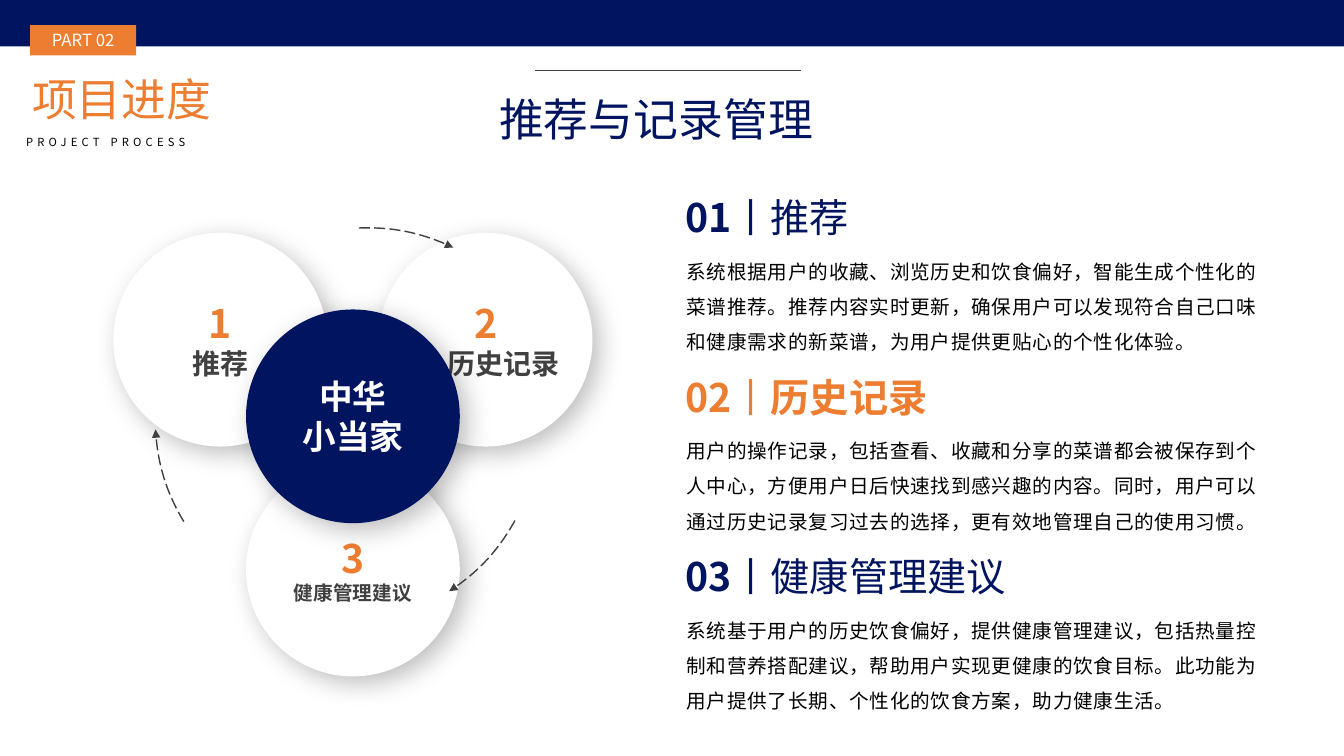
from math import cos, radians, sin

from lxml.etree import SubElement
from pptx import Presentation
from pptx.dml.color import RGBColor
from pptx.enum.dml import MSO_LINE_DASH_STYLE as Dash
from pptx.enum.shapes import MSO_CONNECTOR, MSO_SHAPE as Shape
from pptx.enum.text import MSO_ANCHOR as Anchor, MSO_AUTO_SIZE as AutoSize, PP_ALIGN as Align
from pptx.oxml.ns import qn
from pptx.util import Inches, Pt

NAVY = RGBColor(0x00, 0x14, 0x5F)
ORANGE = RGBColor(0xED, 0x7D, 0x31)
GRAY = RGBColor(0x40, 0x40, 0x40)
WHITE = RGBColor(0xFF, 0xFF, 0xFF)
BLACK = RGBColor(0x00, 0x00, 0x00)
FONT = "Noto Sans CJK SC"

TITLE = "推荐与记录管理"
PART = "PART 02"
CHAPTER = "项目进度"
CHAPTER_EN = "PROJECT PROCESS"
HUB = ("中华", "小当家")
# number, label, label size, label indent, angle around the hub
PETALS = [
    ("1", "推荐", 20, 0, 210),
    ("2", "历史记录", 20, 0.35, 330),
    ("3", "健康管理建议", 14, 0, 90),
]
# centre x, centre y, rotation
ARROWS = [(3.5, 4.16, 0), (3.64, 4.22, 118.8), (3.39, 4.22, 240)]
# number, heading, heading is bold, colour, heading width, body
SECTIONS = [
    ("01", "推荐", False, NAVY, 2.87,
     "系统根据用户的收藏、浏览历史和饮食偏好，智能生成个性化的菜谱推荐。推荐内容实时更新，"
     "确保用户可以发现符合自己口味和健康需求的新菜谱，为用户提供更贴心的个性化体验。"),
    ("02", "历史记录", True, ORANGE, 2.87,
     "用户的操作记录，包括查看、收藏和分享的菜谱都会被保存到个人中心，方便用户日后快速找到感兴趣的内容。"
     "同时，用户可以通过历史记录复习过去的选择，更有效地管理自己的使用习惯。"),
    ("03", "健康管理建议", False, NAVY, 3.53,
     "系统基于用户的历史饮食偏好，提供健康管理建议，包括热量控制和营养搭配建议，"
     "帮助用户实现更健康的饮食目标。此功能为用户提供了长期、个性化的饮食方案，助力健康生活。"),
]

WIDTH, HEIGHT = 13.33, 7.5
HUB_X, HUB_Y, ORBIT, CIRCLE = 3.5, 4.13, 1.52, 2.12
ARC, ARC_START, ARC_END = 3.92, 148.81, 177.07
SECTION_X, SECTION_Y, SECTION_PITCH, BODY_DROP = 6.7, 1.87, 1.78, 0.54

prs = Presentation()
prs.slide_width, prs.slide_height = Inches(WIDTH), Inches(HEIGHT)
slide = prs.slides.add_slide(prs.slide_layouts[5])
shapes = slide.shapes


def box(*lengths):
    return [Inches(length) for length in lengths]


def style(paragraph, size, color, bold=None, align=Align.LEFT, tracking=0):
    """Format a paragraph, with the same typeface for Latin and Chinese."""
    paragraph.alignment = align
    font = paragraph.font
    font.name, font.size, font.bold = FONT, Pt(size), bold
    font.color.rgb = color
    props = paragraph._p.pPr.find(qn("a:defRPr"))
    SubElement(props, qn("a:ea")).set("typeface", FONT)
    if tracking:
        props.set("spc", str(int(tracking * 100)))


def add_text(place, text, size, color, **look):
    frame = shapes.add_textbox(*box(*place)).text_frame
    frame.word_wrap = True
    frame.auto_size = AutoSize.SHAPE_TO_FIT_TEXT
    frame.text = text
    style(frame.paragraphs[0], size, color, **look)
    return frame.paragraphs[0]


def add_filled(kind, place, color):
    shape = shapes.add_shape(kind, *box(*place))
    shape.shadow.inherit = False
    shape.fill.solid()
    shape.fill.fore_color.rgb = color
    shape.line.fill.background()
    return shape


def add_circle(x, y, fill, lines):
    """Draw a shadowed circle centred on x, y; lines hold text, size, colour, indent."""
    circle = add_filled(Shape.OVAL, (x - CIRCLE / 2, y - CIRCLE / 2, CIRCLE, CIRCLE), fill)
    effects = circle._element.spPr.find(qn("a:effectLst"))
    shadow = SubElement(effects, qn("a:outerShdw"), blurRad=str(Pt(19)), dist=str(Pt(7)),
                        dir=str(45 * 60000), algn="tl", rotWithShape="0")
    black = SubElement(shadow, qn("a:srgbClr"), val=str(BLACK))
    SubElement(black, qn("a:alpha"), val="25000")
    frame = circle.text_frame
    frame.word_wrap = True
    frame.vertical_anchor = Anchor.MIDDLE
    frame.margin_left = frame.margin_right = 0
    frame.text = "\n".join(line[0] for line in lines)
    for paragraph, (_, size, color, indent) in zip(frame.paragraphs, lines):
        style(paragraph, size, color, bold=True, align=Align.CENTER)
        if indent:
            paragraph._p.pPr.set("marL", str(Inches(indent)))


def add_arrow(x, y, rotation):
    arc = shapes.add_shape(Shape.ARC, *box(x - ARC / 2, y - ARC / 2, ARC, ARC))
    arc.shadow.inherit = False
    arc.rotation = rotation
    for index, degrees in enumerate((ARC_START, ARC_END)):
        arc.adjustments[index] = degrees * 0.6  # 60000 units a degree, 100000 a whole
    arc.fill.background()
    arc.line.color.rgb, arc.line.width = GRAY, Pt(1)
    arc.line.dash_style = Dash.LONG_DASH
    SubElement(arc.line._get_or_add_ln(), qn("a:tailEnd"), type="triangle")


# Header
add_filled(Shape.RECTANGLE, (0, 0, WIDTH, 0.46), NAVY)
add_filled(Shape.RECTANGLE, (0.3, 0.25, 1.05, 0.3), ORANGE)
add_text((0.34, 0.25, 0.97, 0.3), PART, 12, WHITE, align=Align.CENTER)
add_text((0.22, 0.66, 2.38, 0.64), CHAPTER, 32, ORANGE)
add_text((0.16, 1.29, 2.43, 0.23), CHAPTER_EN, 8, BLACK, align=Align.JUSTIFY, tracking=3)

title = shapes.title
title.left, title.top, title.width, title.height = box(4.95, 0.8, 3.34, 0.65)
heading = title.text_frame
heading.text = TITLE
heading.word_wrap = True
heading.auto_size = AutoSize.SHAPE_TO_FIT_TEXT
heading.vertical_anchor = Anchor.TOP
heading.margin_left = heading.margin_right = heading.margin_top = heading.margin_bottom = 0
heading.paragraphs[0].line_spacing = 1.2
style(heading.paragraphs[0], 32, NAVY)

rule = shapes.add_connector(MSO_CONNECTOR.STRAIGHT, *box(5.31, 0.7, 7.94, 0.7))
rule.line.color.rgb, rule.line.width = GRAY, Pt(1)
SubElement(rule._element.spPr, qn("a:effectLst"))

# Cycle diagram
for number, label, size, indent, angle in PETALS:
    add_circle(HUB_X + ORBIT * cos(radians(angle)), HUB_Y + ORBIT * sin(radians(angle)), WHITE,
               [(number, 28, ORANGE, 0), (label, size, GRAY, indent)])
add_circle(HUB_X, HUB_Y, NAVY, [(line, 24, WHITE, 0) for line in HUB])
for arrow in ARROWS:
    add_arrow(*arrow)

# Sections
for row, (number, name, name_bold, color, width, body) in enumerate(SECTIONS):
    top = SECTION_Y + row * SECTION_PITCH
    caption = add_text((SECTION_X, top, width, 0.57), "", 28, color)
    for text, bold in ((number, True), ("丨", False), (name, name_bold)):
        run = caption.add_run()
        run.text, run.font.bold = text, bold
    details = add_text((SECTION_X + 0.01, top + BODY_DROP, 5.91, 1.16), body, 14, BLACK, tracking=0.5)
    details.line_spacing = 1.5

prs.save("out.pptx")
